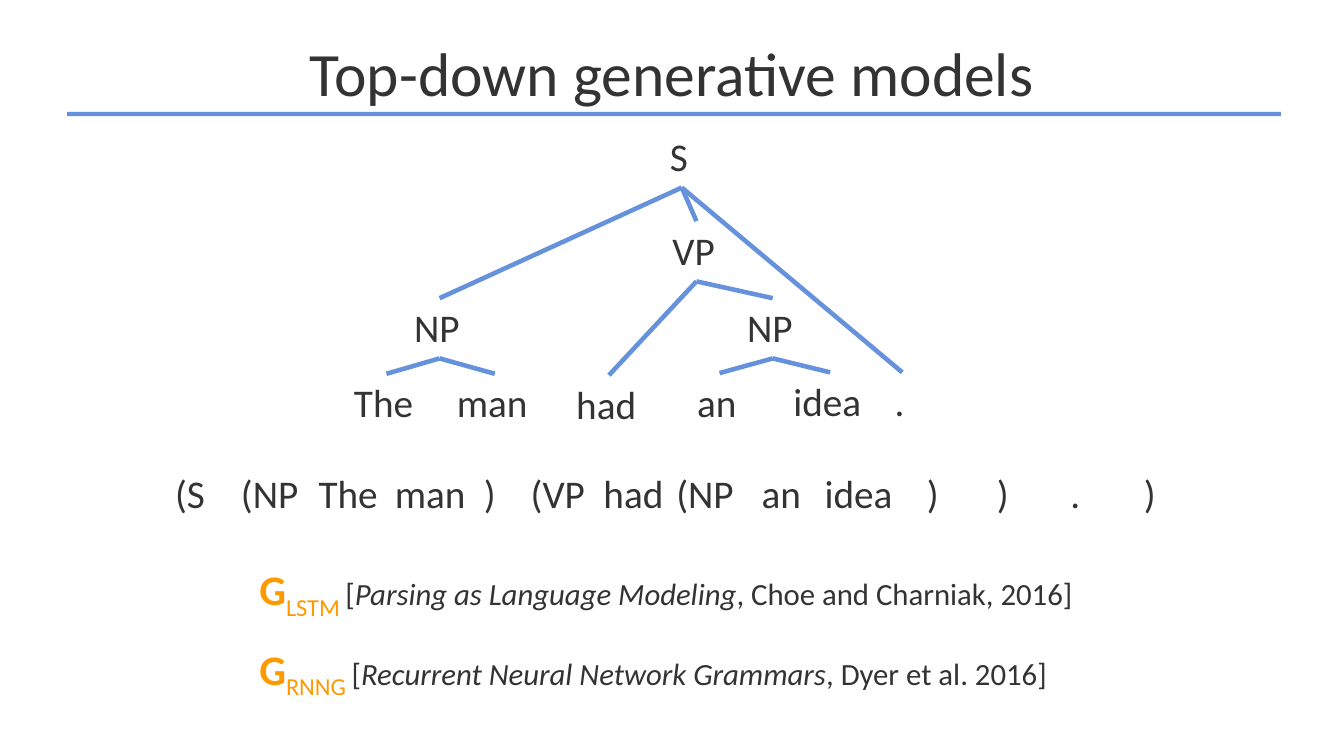
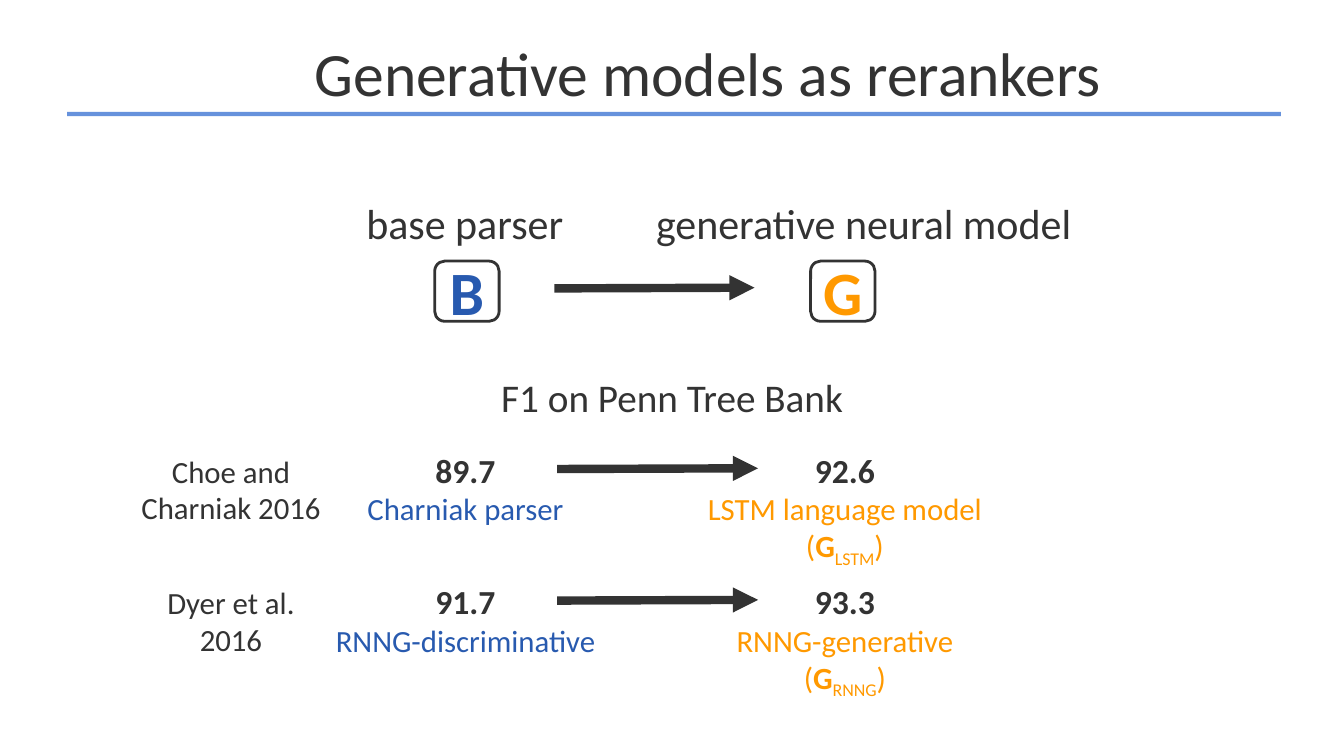
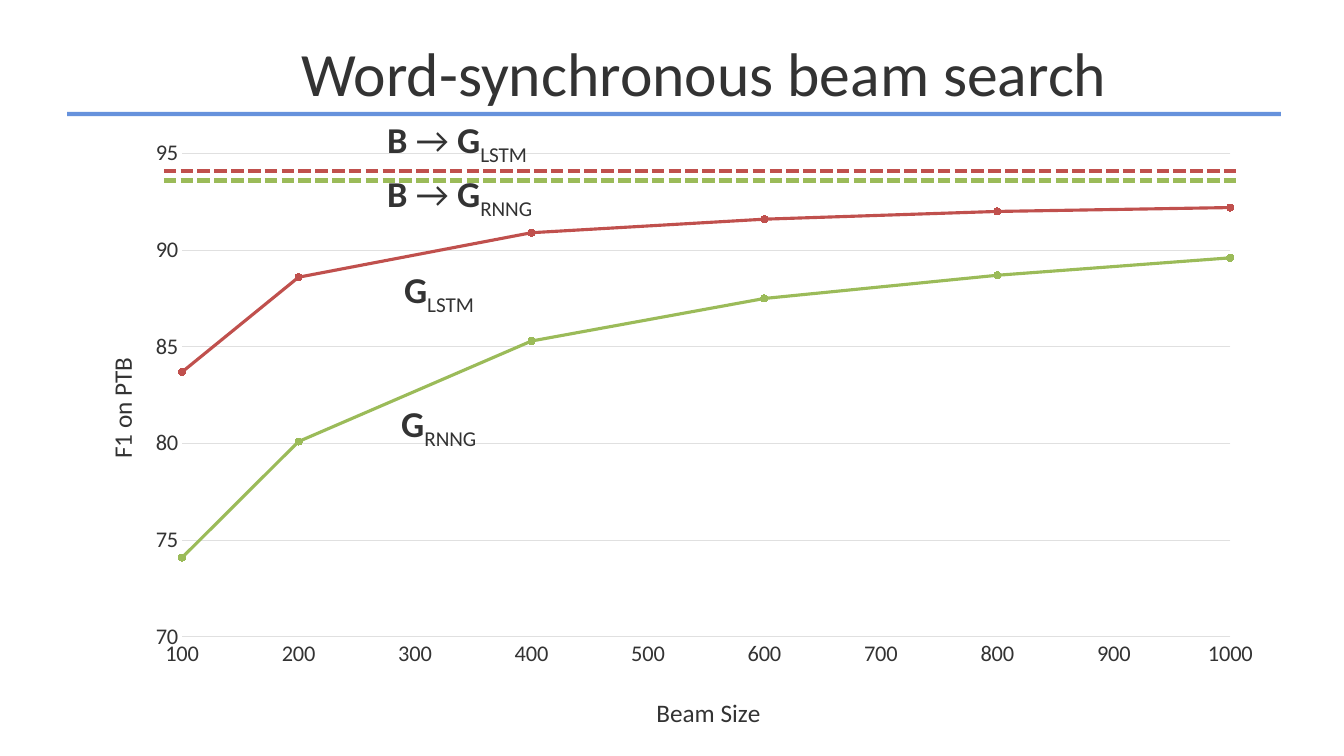
from lxml.etree import SubElement
from pptx import Presentation
from pptx.chart.data import XyChartData
from pptx.dml.color import RGBColor
from pptx.enum.chart import XL_CHART_TYPE as Chart, XL_MARKER_STYLE as Marker
from pptx.enum.chart import XL_TICK_MARK as Tick
from pptx.enum.dml import MSO_LINE as Dash
from pptx.enum.shapes import MSO_CONNECTOR as Connector, MSO_SHAPE as Shape
from pptx.enum.text import MSO_ANCHOR as Anchor, MSO_AUTO_SIZE as AutoSize
from pptx.enum.text import PP_ALIGN as Align
from pptx.oxml.ns import qn
from pptx.util import Pt

WIDTH, HEIGHT = 960, 540
FONT = "Calibri"
INK, WHITE, GRID = "333333", "FFFFFF", "E0E0E0"
RULE, BASE, GENERATIVE = "6692DC", "285AAF", "FF9900"
RED, GREEN = "C0504D", "9BBB59"
TITLE_ONLY, TITLE_AND_BODY = 5, 1

BEAM_SIZES = [100, 200, 400, 600, 800, 1000]
BEAM_SCORES = [
    ("Series 1", GREEN, [74.1, 80.1, 85.3, 87.5, 88.7, 89.6]),
    ("Series 2", RED, [83.7, 88.6, 90.9, 91.6, 92, 92.2]),
]

# Each node: label, centre x, top y, children
PARSE_TREE = ("S", 241, 1, [
    ("NP", 68, 123, [("The", 30, 177, []), ("man", 107.5, 177, [])]),
    ("VP", 251.5, 68, [
        ("had", 189, 178, []),
        ("NP", 306, 123, [("an", 268, 176.5, []), ("idea", 347, 176, [])]),
    ]),
    (".", 398.5, 176, []),
])

# Each token of the linearised tree with its left edge
TOKENS = [
    ("(S", 0), ("(NP", 47), ("The", 102.5), ("man", 157), (")", 220.5),
    ("(VP", 254), ("had", 306), ("(NP", 358), ("an", 419), ("idea", 464),
    (")", 537), (")", 587), (".", 639.5), (")", 692),
]

REFERENCES = [
    ("LSTM ", "Parsing as Language Modeling", ", Choe and Charniak, 2016]"),
    ("RNNG ", "Recurrent Neural Network Grammars", ", Dyer et al. 2016]"),
]

# Citation lines, base score, base parser, reranked score, model, subscript
RERANKING = [
    (["Choe and", "Charniak 2016"], "89.7", "Charniak parser",
     "92.6", "LSTM language model", "LSTM"),
    (["Dyer et al.", "2016"], "91.7", "RNNG-discriminative",
     "93.3", "RNNG-generative", "RNNG"),
]


# Shared helpers
def rgb(value):
    return RGBColor.from_string(value)


def add_run(par, text, size, color=INK, bold=False, italic=False, sub=False):
    run = par.add_run()
    run.text = text
    font = run.font
    font.name, font.size, font.bold, font.italic = FONT, Pt(size), bold, italic
    font.color.rgb = rgb(color)
    if sub:
        run._r.get_or_add_rPr().set("baseline", "-25000")


def add_model(par, name, size, color=INK):
    add_run(par, "G", size, color, bold=True)
    add_run(par, name, size, color, sub=True)


def add_pars(slide, left, top, width, height, count=1, align=Align.LEFT):
    """Add a text box and return its empty paragraphs."""
    box = slide.shapes.add_textbox(Pt(left), Pt(top), Pt(width), Pt(height))
    frame = box.text_frame
    frame.word_wrap = True
    pars = [frame.paragraphs[0]] + [frame.add_paragraph() for _ in range(count - 1)]
    for par in pars:
        par.alignment = align
    return pars


def add_label(slide, text, size, left, top, width, height, align=Align.CENTER):
    add_run(add_pars(slide, left, top, width, height, align=align)[0], text, size)


def add_shape(slide, kind, left, top, width, height, fill, line=None):
    shape = slide.shapes.add_shape(kind, Pt(left), Pt(top), Pt(width), Pt(height))
    shape.shadow.inherit = False
    shape.fill.solid()
    shape.fill.fore_color.rgb = rgb(fill)
    if line:
        shape.line.color.rgb, shape.line.width = rgb(line), Pt(2)
    else:
        shape.line.fill.background()
    return shape


def add_line(slide, x1, y1, x2, y2, color, width, dash=None, arrow=False):
    line = slide.shapes.add_connector(Connector.STRAIGHT, Pt(x1), Pt(y1), Pt(x2), Pt(y2))
    line.line.color.rgb, line.line.width = rgb(color), Pt(width)
    if dash:
        line.line.dash_style = dash
    if arrow:
        SubElement(line.element.find(".//" + qn("a:ln")), qn("a:tailEnd"), type="triangle")
    SubElement(line.element.spPr, qn("a:effectLst"))


def new_slide(prs, layout, title, left, width):
    slide = prs.slides.add_slide(prs.slide_layouts[layout])
    heading = slide.shapes.title
    heading.left, heading.top, heading.width, heading.height = (
        Pt(left), Pt(11.5), Pt(width), Pt(79))
    frame = heading.text_frame
    frame.auto_size, frame.vertical_anchor = AutoSize.NONE, Anchor.MIDDLE
    frame.paragraphs[0].alignment = Align.CENTER
    add_run(frame.paragraphs[0], title, 44)
    add_shape(slide, Shape.RECTANGLE, 48, 80, 867, 3, RULE)
    return slide


# Slide 1: parse tree, its tokens and the references
def draw_tree(slide, left, top, node):
    label, x, y, children = node
    add_label(slide, label, 28, left + x - 38, top + y, 72, 48)
    for child in children:
        add_line(slide, left + x, top + y + 43, left + child[1], top + child[2], RULE, 3.25)
        draw_tree(slide, left, top, child)


def draw_tokens(slide, left, top):
    for token, x in TOKENS:
        add_label(slide, token, 28, left + x, top, 78, 41, Align.LEFT)


def fill_references(body, left, top, width, height):
    body.left, body.top, body.width, body.height = Pt(left), Pt(top), Pt(width), Pt(height)
    frame = body.text_frame
    frame.auto_size, frame.vertical_anchor = AutoSize.NONE, Anchor.TOP
    for i, (model, paper, authors) in enumerate(REFERENCES):
        par = frame.add_paragraph() if i else frame.paragraphs[0]
        par.space_before, par.space_after = Pt(0), Pt(16)
        props = par._p.get_or_add_pPr()
        props.set("marL", str(Pt(36)))
        props.set("indent", "0")
        SubElement(props, qn("a:buNone"))
        add_model(par, model, 30, GENERATIVE)
        add_run(par, "[", 22)
        add_run(par, paper, 22, italic=True)
        add_run(par, authors, 22)


def build_models(prs):
    slide = new_slide(prs, TITLE_AND_BODY, "Top-down generative models", 0, WIDTH)
    draw_tree(slide, 246, 90, PARSE_TREE)
    draw_tokens(slide, 118, 332)
    fill_references(slide.placeholders[1], 142, 399, 647, 100)


# Slide 2: reranking diagram and score rows
def draw_pipeline(slide, left, top):
    stages = [("base parser", "B", BASE, 79, 80.5),
              ("generative neural model", "G", GENERATIVE, 364, 349)]
    for stage, letter, color, label_x, box_x in stages:
        add_label(slide, stage, 30, left + label_x - 160, top, 320, 44)
        box = add_shape(slide, Shape.ROUNDED_RECTANGLE, left + box_x - 23, top + 49,
                        46, 43, WHITE, INK)
        frame = box.text_frame
        frame.word_wrap, frame.vertical_anchor = False, Anchor.MIDDLE
        frame.margin_left = frame.margin_right = frame.margin_top = frame.margin_bottom = 0
        frame.paragraphs[0].alignment = Align.CENTER
        add_run(frame.paragraphs[0], letter, 44, color, bold=True)
    add_line(slide, left + 143, top + 68.5, left + 286, top + 68, INK, 6, arrow=True)


def draw_scores(slide, left, top, row):
    citation, base_score, parser, score, model, name = row
    for par, text in zip(add_pars(slide, left, top + 2, 144, 60, 2, Align.CENTER), citation):
        add_run(par, text, 22)

    base = add_pars(slide, left + 127, top, 225, 63, 2, Align.CENTER)
    add_run(base[0], base_score, 24, bold=True)
    add_run(base[1], parser, 22, BASE)

    reranked = add_pars(slide, left + 398, top, 225, 90, 3, Align.CENTER)
    add_run(reranked[0], score, 24, bold=True)
    add_run(reranked[1], model, 22, GENERATIVE)
    add_run(reranked[2], "(", 22, GENERATIVE)
    add_model(reranked[2], name, 22, GENERATIVE)
    add_run(reranked[2], ")", 22, GENERATIVE)

    add_line(slide, left + 305, top + 17.5, left + 448.5, top + 17, INK, 6, arrow=True)


def build_rerankers(prs):
    slide = new_slide(prs, TITLE_ONLY, "Generative models as rerankers", 52, 908)
    draw_pipeline(slide, 253, 137.5)
    add_label(slide, "F1 on Penn Tree Bank", 28, 0, 263, WIDTH, 41)
    for i, row in enumerate(RERANKING):
        draw_scores(slide, 93, 317.5 + 94 * i, row)


# Slide 3: beam size chart
def set_layout(parent, index, **fractions):
    """Place a chart part by fractions of the chart area."""
    old = parent.find(qn("c:layout"))
    if old is not None:
        parent.remove(old)
    layout = parent.makeelement(qn("c:layout"), {})
    parent.insert(index, layout)
    manual = SubElement(layout, qn("c:manualLayout"))
    if "w" in fractions:
        SubElement(manual, qn("c:layoutTarget"), val="inner")
    for side in "xy":
        SubElement(manual, qn(f"c:{side}Mode"), val="edge")
    for key, value in fractions.items():
        SubElement(manual, qn(f"c:{key}"), val=str(value))


def format_axis(axis, title, low, high, step, x, y):
    axis.minimum_scale, axis.maximum_scale, axis.major_unit = low, high, step
    axis.major_tick_mark = axis.minor_tick_mark = Tick.NONE
    font = axis.tick_labels.font
    font.name, font.size, font.color.rgb = FONT, Pt(16), rgb(INK)
    add_run(axis.axis_title.text_frame.paragraphs[0], title, 18)
    set_layout(axis.axis_title.element, 1, x=x, y=y)


def draw_chart(slide, left, top, width, height):
    data = XyChartData()
    for name, _, scores in BEAM_SCORES:
        series = data.add_series(name)
        for size, score in zip(BEAM_SIZES, scores):
            series.add_data_point(size, score)
    chart = slide.shapes.add_chart(Chart.XY_SCATTER_LINES, Pt(left), Pt(top),
                                   Pt(width), Pt(height), data).chart
    chart.has_legend = chart.has_title = False
    chart.font.name, chart.font.size, chart.font.color.rgb = FONT, Pt(10), rgb(INK)
    chart.plots[0].vary_by_categories = False
    set_layout(chart.element.find(".//" + qn("c:plotArea")), 0,
               x=0.094, y=0.043, w=0.868, h=0.785)

    sizes, scores = chart.category_axis, chart.value_axis
    format_axis(sizes, "Beam Size", 100, 1000, 100, 0.483, 0.916)
    format_axis(scores, "F1 on PTB", 70, 95, 5, 0.026, 0.367)
    sizes.has_major_gridlines = False
    scores.has_major_gridlines = True
    for line in (sizes.format.line, scores.major_gridlines.format.line):
        line.color.rgb, line.width = rgb(GRID), Pt(0.75)
    scores.format.line.fill.background()
    turned = scores.axis_title.element.find(".//" + qn("a:bodyPr"))
    turned.set("rot", "-5400000")
    turned.set("vert", "horz")

    for series, (_, color, _) in zip(chart.plots[0].series, BEAM_SCORES):
        series.format.line.color.rgb, series.format.line.width = rgb(color), Pt(2.25)
        marker = series.marker
        marker.style, marker.size = Marker.CIRCLE, 5
        marker.format.fill.solid()
        marker.format.fill.fore_color.rgb = rgb(color)
        marker.format.line.color.rgb = rgb(color)


def draw_curve_labels(slide, left, top):
    labels = [("RNNG", 2, 203, False), ("LSTM", 4, 107, False),
              ("RNNG", -8, 39, True), ("LSTM", -8, 0, True)]
    for name, x, y, reranked in labels:
        par = add_pars(slide, left + x, top + y, 124 if reranked else 74, 39)[0]
        if reranked:
            add_run(par, "B", 26, bold=True)
            add_run(par, " → ", 26)
        add_model(par, name, 26)


def build_beam_search(prs):
    slide = new_slide(prs, TITLE_ONLY, "Word-synchronous beam search", 127.5, 751.5)
    draw_chart(slide, 49, 90.7, 862.6, 440)
    for y, color in ((122.3, RED), (129, GREEN)):
        add_line(slide, 117, y, 884, y, color, 3, dash=Dash.SQUARE_DOT)
    draw_curve_labels(slide, 277.5, 80)


def main():
    prs = Presentation()
    prs.slide_width, prs.slide_height = Pt(WIDTH), Pt(HEIGHT)
    build_models(prs)
    build_rerankers(prs)
    build_beam_search(prs)
    prs.save("out.pptx")


if __name__ == "__main__":
    main()
